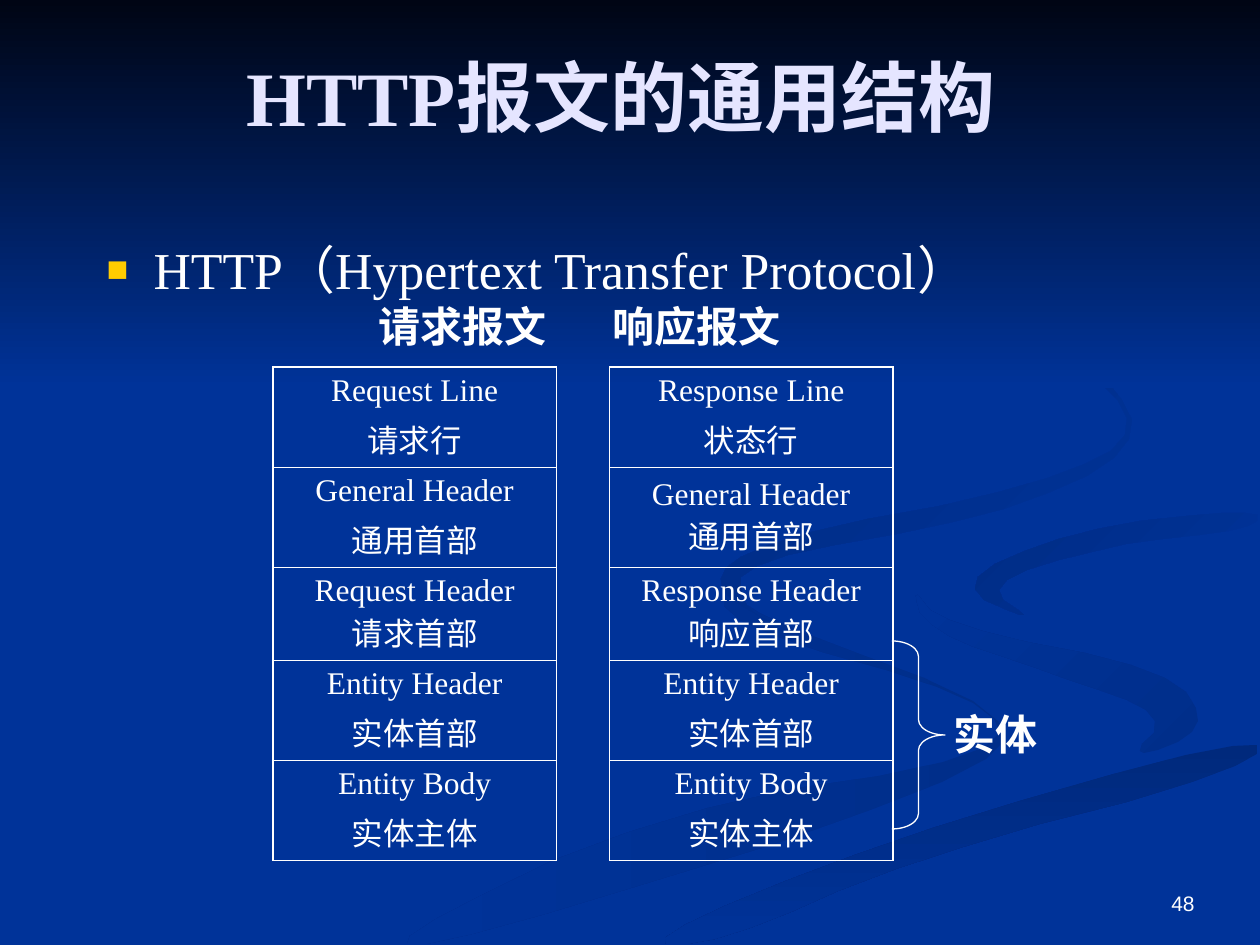
import lxml.etree
import pptx
import pptx.dml.color
import pptx.enum.shapes
import pptx.enum.text
import pptx.oxml.ns
import pptx.util

PX = 914400 / 126
SERIF, SANS, CJK = "Times New Roman", "Arial", "Noto Sans CJK SC"
BLUE, WHITE = "003399", "FFFFFF"
ALIGN = pptx.enum.text.PP_ALIGN
TOP, MIDDLE = pptx.enum.text.MSO_ANCHOR.TOP, pptx.enum.text.MSO_ANCHOR.MIDDLE

SWOOSHES = [
    ("002E8A", BLUE, 180, [(378, 944), (660, 810), (1010, 755), (984, 697), (724, 625),
                           (724, 575), (748, 615), (1030, 715), (960, 785), (455, 944)]),
    ("002E8A", BLUE, 135, [(912, 585), (940, 625), (1172, 670), (1210, 730), (1126, 762),
                           (1170, 715), (1056, 675), (925, 630)]),
    ("00297C", BLUE, 270, [(634, 944), (877, 843), (1257, 732), (1257, 767), (910, 859), (719, 944)]),
    (BLUE, "002C85", 135, [(1257, 507), (1070, 530), (950, 585), (1041, 625), (980, 585),
                           (1106, 545), (1257, 529)]),
    (BLUE, "002B81", 135, [(960, 294), (1109, 370), (1145, 450), (990, 519), (742, 560),
                           (740, 605), (784, 630), (705, 585), (762, 540), (1046, 485),
                           (1150, 430), (1062, 347)]),
]

REQUEST = ["Request Line/请求行", "General Header/通用首部", "Request Header/请求首部",
           "Entity Header/实体首部", "Entity Body/实体主体"]
RESPONSE = ["Response Line/状态行", "General Header/通用首部", "Response Header/响应首部",
            *REQUEST[3:]]
TIGHT_CELLS = {(1, 2), (2, 0), (2, 2)}


def emu(px):
    """Turn px into EMU."""
    return pptx.util.Emu(round(px * PX))


def rgb(value):
    """Turn a hex string into a colour."""
    return pptx.dml.color.RGBColor.from_string(value)


def child(parent, tag, **attributes):
    """Append a DrawingML element and return it."""
    return lxml.etree.SubElement(parent, pptx.oxml.ns.qn("a:" + tag), attributes)


def write(para, text, size=18, font=SERIF, color=WHITE, bold=False, align=ALIGN.LEFT, before=0):
    """Write one formatted span into a paragraph."""
    para.alignment = align
    para.space_before = pptx.util.Pt(before)
    span = para.add_run()
    span.text = text
    span.font.size = pptx.util.Pt(size)
    span.font.name = font
    span.font.bold = bold
    span.font.color.rgb = rgb(color)
    child(span.font._element, "ea", typeface=CJK)


def label(page, box, text, anchor=TOP, **style):
    """Add a wrapped text box holding one line."""
    frame = page.shapes.add_textbox(*map(emu, box)).text_frame
    frame.word_wrap = True
    frame.vertical_anchor = anchor
    write(frame.paragraphs[0], text, **style)


def paint(shape, start, end, angle):
    """Fill a borderless shape with a gradient."""
    shape.shadow.inherit = False
    shape.line.fill.background()
    shape.fill.gradient()
    shape.fill.gradient_angle = angle
    for stop, color in zip(shape.fill.gradient_stops, (start, end)):
        stop.color.rgb = rgb(color)


def rounded(points):
    """Cut every corner of a closed outline at a quarter of its sides."""
    return [(a[0] + (b[0] - a[0]) * part, a[1] + (b[1] - a[1]) * part)
            for a, b in zip(points, points[1:] + points[:1]) for part in (0.25, 0.75)]


def backdrop(page, box):
    """Draw the swooshes and the dark band at the top of the page."""
    left, top, width, height = box
    page.background.fill.solid()
    page.background.fill.fore_color.rgb = rgb(BLUE)
    for start, end, angle, corners in SWOOSHES:
        points = [(left + x, top + y) for x, y in rounded(rounded(corners))]
        outline = page.shapes.build_freeform(*points[0], scale=PX)
        outline.add_line_segments(points[1:], close=True)
        paint(outline.convert_to_shape(), start, end, angle)
    band = page.shapes.add_shape(
        pptx.enum.shapes.MSO_SHAPE.RECTANGLE, *map(emu, (left, top, width, 388)))
    paint(band, "000514", BLUE, 270)


def placeholder(page, index, box, text, anchor, **style):
    """Place a template placeholder in front, write it and return its paragraph."""
    holder = page.placeholders[index]
    holder.element.getparent().append(holder.element)
    holder.left, holder.top, holder.width, holder.height = map(emu, box)
    frame = holder.text_frame
    frame.auto_size = pptx.enum.text.MSO_AUTO_SIZE.NONE
    frame.vertical_anchor = anchor
    write(frame.paragraphs[0], text, **style)
    return frame.paragraphs[0]


def square_bullet(para, indent):
    """Give a paragraph a yellow square bullet."""
    properties = para._p.get_or_add_pPr()
    properties.set("marL", str(emu(indent)))
    properties.set("indent", str(emu(-indent)))
    child(child(properties, "buClr"), "srgbClr", val="FFCC00")
    child(properties, "buSzPct", val="70000")
    child(properties, "buFont", typeface=SANS)
    child(properties, "buChar", char="■")


def border(cell, side, points):
    """Draw one cell border, or none when its width is zero."""
    line = child(cell._tc.get_or_add_tcPr(), "ln" + side, w=str(pptx.util.Pt(points)))
    if points:
        child(child(line, "solidFill"), "srgbClr", val=WHITE)
    else:
        child(line, "noFill")


def message_table(page, box):
    """Build the request and response columns with a gap between them."""
    thin, thick, gap = 0.45, 1.08, 53
    last = len(REQUEST) - 1
    table = page.shapes.add_table(last + 1, 3, *map(emu, box)).table
    table.first_row = table.horz_banding = False
    side = (box[2] - gap) / 2
    for column, width in zip(table.columns, (side, gap, side)):
        column.width = emu(width)
    for r, texts in enumerate(zip(REQUEST, [""] * len(REQUEST), RESPONSE)):
        table.rows[r].height = emu(86 if r == 2 else 95)
        for c, text in enumerate(texts):
            cell = table.cell(r, c)
            border(cell, "L", thick if c == 0 else thin)
            border(cell, "R", thick if c == 2 else thin)
            border(cell, "T", 0 if c == 1 else thick if r == 0 else thin)
            border(cell, "B", 0 if c == 1 else thick if r == last else thin)
            cell.fill.background()
            cell.margin_left = cell.margin_right = emu(5)
            cell.margin_top = cell.margin_bottom = emu(6)
            cell.vertical_anchor = MIDDLE
            if text:
                english, chinese = text.split("/")
                before = 0 if (r, c) in TIGHT_CELLS else 4.5
                frame = cell.text_frame
                write(frame.paragraphs[0], english, align=ALIGN.CENTER, before=before)
                write(frame.add_paragraph(), chinese, align=ALIGN.CENTER, before=before)


def entity_brace(page, box):
    """Draw the brace and name the parts it spans."""
    left, top, width, height = box
    brace = page.shapes.add_shape(pptx.enum.shapes.MSO_SHAPE.RIGHT_BRACE, *map(emu, box))
    brace.shadow.inherit = False
    brace.fill.background()
    brace.line.color.rgb = rgb(WHITE)
    brace.line.width = pptx.util.Pt(0.75)
    brace.adjustments[0] = 0.29
    label(page, (left + width - 4, top + 61, 116, 63), "实体", size=24, font=SANS, bold=True, before=15)


def main():
    """Build the deck and save it."""
    deck = pptx.Presentation()
    deck.slide_width, deck.slide_height = emu(1260), emu(945)
    page = deck.slides.add_slide(deck.slide_layouts[1])
    backdrop(page, (0, 0, 1260, 945))
    label(page, (945, 882, 262, 42), "48", anchor=MIDDLE, size=12, font=SANS, align=ALIGN.RIGHT)
    placeholder(page, 0, (63, 38, 1134, 115), "HTTP报文的通用结构 ", MIDDLE,
                size=44, color="E5E5FF", bold=True, align=ALIGN.CENTER)
    topic = placeholder(page, 1, (94, 231, 1061, 88), "HTTP（Hypertext Transfer Protocol）",
                        TOP, size=29.6, before=8)
    square_bullet(topic, 47)
    message_table(page, (273, 367, 620, 466))
    for center, heading in ((463, "请求报文"), (697, "响应报文")):
        label(page, (center - 110, 294, 220, 63), heading,
              size=24, font=CJK, bold=True, align=ALIGN.CENTER, before=6)
    entity_brace(page, (892, 641, 53, 188))
    deck.save("out.pptx")


if __name__ == "__main__":
    main()
